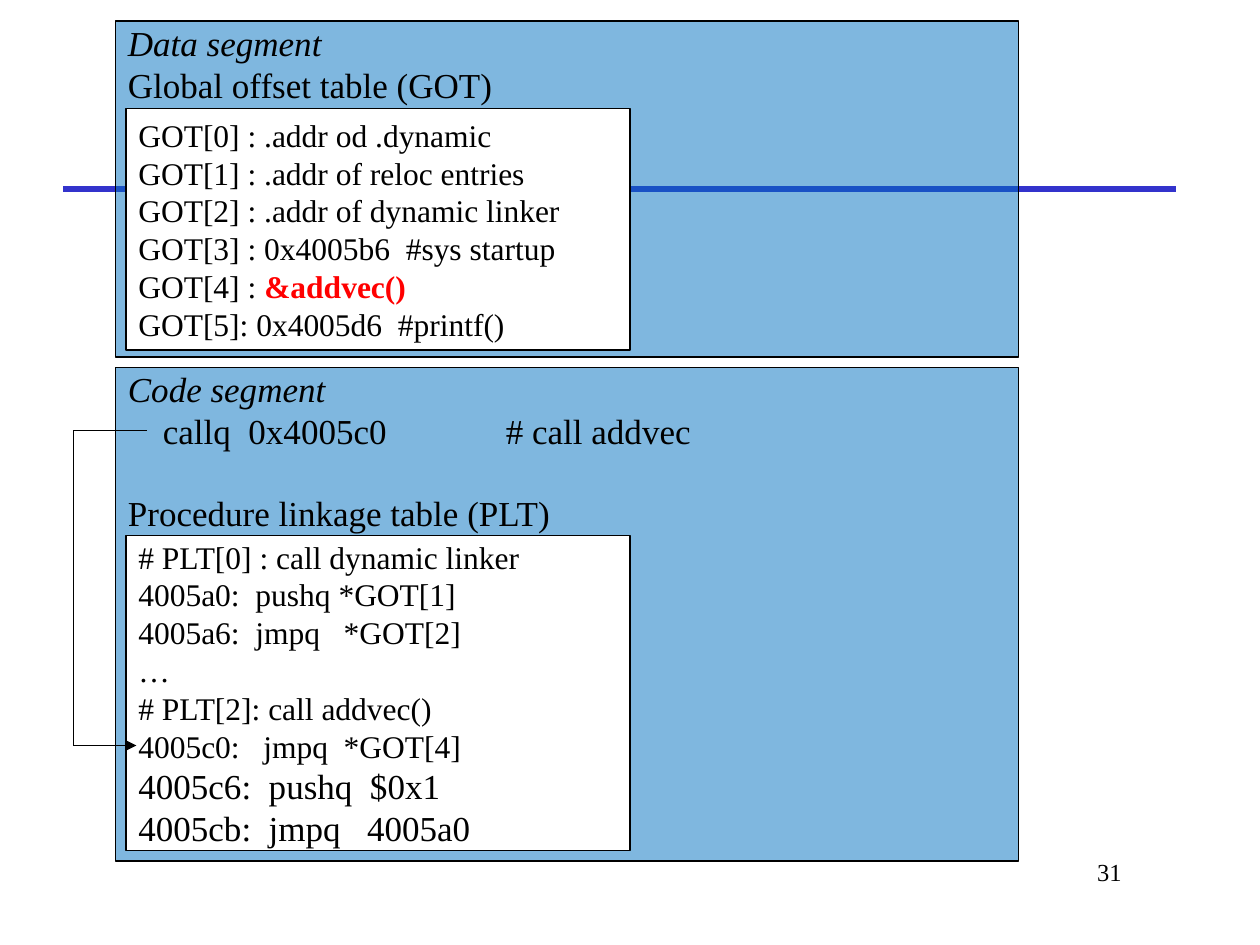
from pptx import Presentation
from pptx.dml.color import RGBColor
from pptx.enum.shapes import MSO_CONNECTOR as Connector, MSO_SHAPE as Shape
from pptx.enum.text import MSO_ANCHOR as Anchor, PP_ALIGN as Align
from pptx.oxml.ns import qn
from pptx.util import Pt
from lxml.etree import SubElement

COLORS = {"rule": "3333CC", "segment": "0070C0", "table": "FFFFFF",
          "ink": "000000", "resolved": "FF0000"}
FONT = "Times New Roman"
SEGMENT_LEFT, SEGMENT_WIDTH = 66, 516
TABLE_LEFT, TABLE_WIDTH = 72, 288
TAB_STEP, TAB_COUNT = 72, 8

GOT_ENTRIES = [
    "GOT[0] : .addr od .dynamic",
    "GOT[1] : .addr of reloc entries",
    "GOT[2] : .addr of dynamic linker",
    "GOT[3] : 0x4005b6  #sys startup",
    "GOT[4] : ",
    "GOT[5]: 0x4005d6  #printf()",
]
PLT_ENTRIES = [
    "# PLT[0] : call dynamic linker",
    "4005a0:  pushq *GOT[1]",
    "4005a6:  jmpq   *GOT[2]",
    "…",
    "# PLT[2]: call addvec()",
    "4005c0:   jmpq  *GOT[4]",
    "4005c6:  pushq  $0x1",
    "4005cb:  jmpq   4005a0",
]


def color(name):
    return RGBColor.from_string(COLORS[name])


def style(para, size):
    para.font.name, para.font.size = FONT, Pt(size)
    para.font.color.rgb = color("ink")


def add_tabs(para, indent):
    """Indent the first line and set evenly spaced tab stops."""
    props = para._p.get_or_add_pPr()
    props.set("marL", "0")
    props.set("indent", str(Pt(indent)))
    props.set("defTabSz", str(Pt(TAB_STEP)))
    tabs = SubElement(props, qn("a:tabLst"))
    for index in range(TAB_COUNT):
        SubElement(tabs, qn("a:tab"), pos=str(Pt(index * TAB_STEP)), algn="l")


def add_line(page, start, end, name="ink", width=0.75, arrow=False):
    line = page.shapes.add_connector(Connector.STRAIGHT, *map(Pt, start + end))
    line.line.color.rgb = color(name)
    line.line.width = Pt(width)
    if arrow:
        SubElement(line.line._get_or_add_ln(), qn("a:tailEnd"), type="triangle")
    SubElement(line._element.spPr, qn("a:effectLst"))


def add_panel(page, box, fill, lines, size, alpha=None):
    """Outlined rectangle with one left-aligned paragraph per line."""
    panel = page.shapes.add_shape(Shape.RECTANGLE, *map(Pt, box))
    panel.shadow.inherit = False
    panel.fill.solid()
    panel.fill.fore_color.rgb = color(fill)
    if alpha:
        solid = panel._element.spPr.find(qn("a:solidFill"))
        SubElement(solid[0], qn("a:alpha"), val=str(alpha * 1000))
    panel.line.color.rgb = color("ink")
    panel.line.width = Pt(0.75)
    frame = panel.text_frame
    frame.word_wrap = True
    frame.vertical_anchor = Anchor.MIDDLE
    for index, text in enumerate(lines):
        para = frame.paragraphs[0] if index == 0 else frame.add_paragraph()
        para.alignment = Align.LEFT
        para.add_run().text = text
        if "\t" in text:
            add_tabs(para, indent=20)
        style(para, size)
    return frame


def add_segment(page, box, lines):
    frame = add_panel(page, box, "segment", lines, 20, alpha=50)
    frame.vertical_anchor = Anchor.TOP
    frame.margin_top = 0
    frame.paragraphs[0].font.italic = True
    return frame


def add_data_segment(page, top, height):
    add_segment(page, (SEGMENT_LEFT, top, SEGMENT_WIDTH, height),
                ["Data segment", "Global offset table (GOT)"])
    table = add_panel(page, (TABLE_LEFT, top + 50, TABLE_WIDTH, 138),
                      "table", GOT_ENTRIES, 18)
    target = table.paragraphs[4].add_run()
    target.text = "&addvec()"
    target.font.bold = True
    target.font.color.rgb = color("resolved")


def add_code_segment(page, top, height):
    frame = add_segment(page, (SEGMENT_LEFT, top, SEGMENT_WIDTH, height),
                        ["Code segment", "callq  0x4005c0\t# call addvec",
                         "Procedure linkage table (PLT)"])
    frame.paragraphs[2].space_before = Pt(23)

    table = add_panel(page, (TABLE_LEFT, top + 96, TABLE_WIDTH, 180),
                      "table", PLT_ENTRIES, 18)
    for para in table.paragraphs[-2:]:
        para.font.size = Pt(20)

    # Call path from callq to its PLT entry
    call_y, entry_y, bend_x = top + 36, top + 216, 42
    add_line(page, (84, call_y), (bend_x, call_y))
    add_line(page, (bend_x, call_y), (bend_x, entry_y))
    add_line(page, (bend_x, entry_y), (78, entry_y), arrow=True)


def add_page_number(page, box):
    frame = page.shapes.add_textbox(*map(Pt, box)).text_frame
    frame.word_wrap = True
    para = frame.paragraphs[0]
    para.text = "31"
    para.alignment = Align.RIGHT
    style(para, 14)


def main():
    deck = Presentation()
    deck.slide_width, deck.slide_height = Pt(720), Pt(540)
    page = deck.slides.add_slide(deck.slide_layouts[6])
    add_line(page, (36, 108), (672, 108), "rule", 3)
    add_page_number(page, (546, 486, 102, 36))
    add_data_segment(page, 12, 192)
    add_code_segment(page, 210, 282)
    deck.save("out.pptx")


if __name__ == "__main__":
    main()
